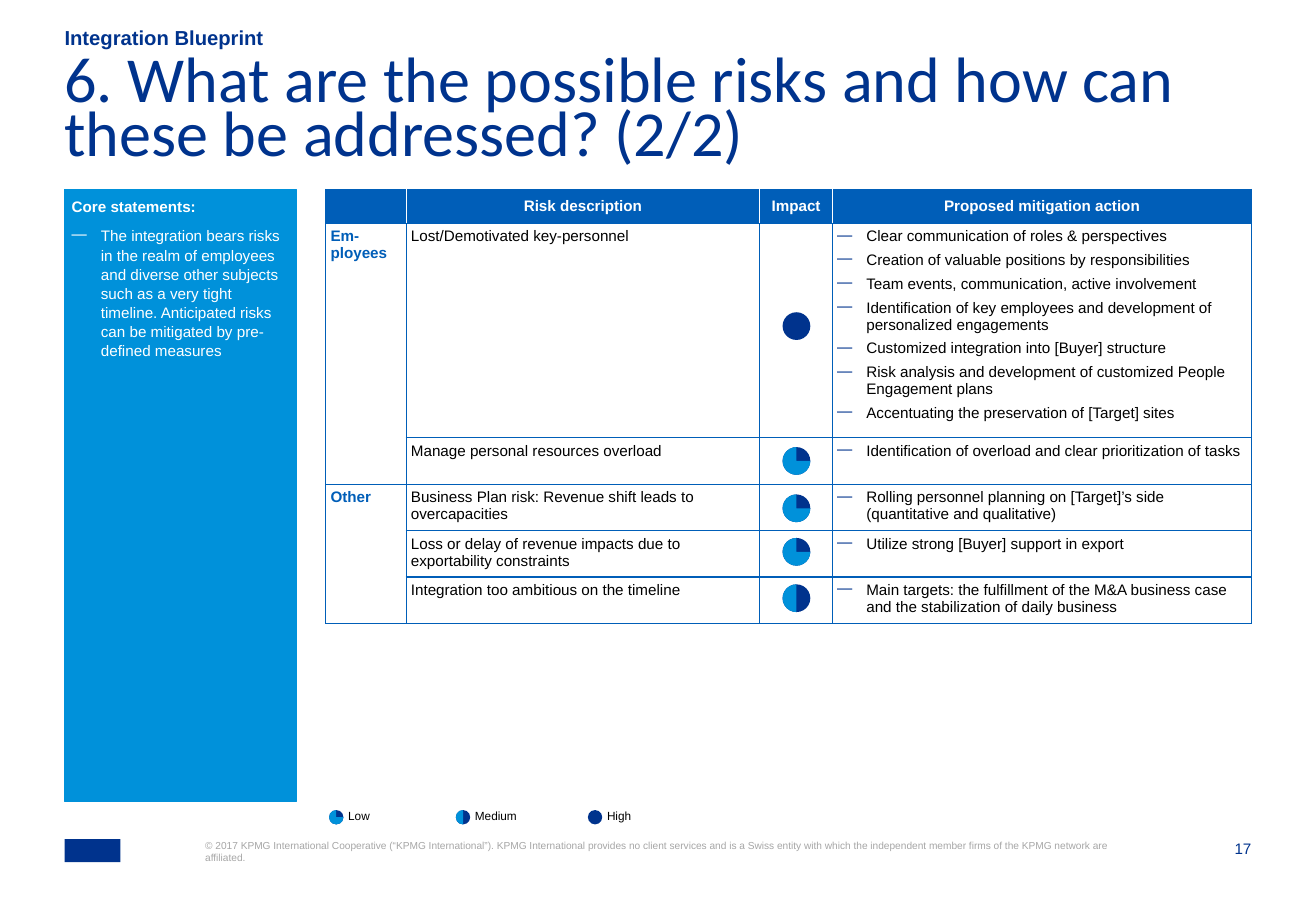
from lxml import etree
from pptx import Presentation
from pptx.dml import color
from pptx.enum import shapes, text
from pptx.oxml import ns
from pptx.util import Cm, Pt

NAVY = color.RGBColor(0x00, 0x33, 0x8D)
BLUE = color.RGBColor(0x00, 0x5E, 0xB8)
SKY = color.RGBColor(0x00, 0x91, 0xDA)
WHITE = color.RGBColor(0xFF, 0xFF, 0xFF)
BLACK = color.RGBColor(0x00, 0x00, 0x00)
GREY = color.RGBColor(0xA6, 0xA6, 0xA6)
LEFT, CENTER, RIGHT = text.PP_ALIGN.LEFT, text.PP_ALIGN.CENTER, text.PP_ALIGN.RIGHT
TOP, MIDDLE, BOTTOM = text.MSO_ANCHOR.TOP, text.MSO_ANCHOR.MIDDLE, text.MSO_ANCHOR.BOTTOM

HEADINGS = ["", "Risk description", "Impact", "Proposed mitigation action"]
RISKS = [
    ("Em-ployees", "Lost/Demotivated key-personnel", [
        "Clear communication of roles & perspectives",
        "Creation of valuable positions by responsibilities",
        "Team events, communication, active involvement",
        "Identification of key employees and development of personalized engagements",
        "Customized integration into [Buyer] structure",
        "Risk analysis and development of customized People Engagement plans",
        "Accentuating the preservation of [Target] sites"]),
    ("", "Manage personal resources overload",
     ["Identification of overload and clear prioritization of tasks"]),
    ("Other", "Business Plan risk: Revenue shift leads to overcapacities",
     ["Rolling personnel planning on [Target]’s side (quantitative and qualitative)"]),
    ("", "Loss or delay of revenue impacts due to exportability constraints",
     ["Utilize strong [Buyer] support in export"]),
    ("", "Integration too ambitious on the timeline",
     ["Main targets: the fulfillment of the M&A business case and the stabilization of daily business"]),
]
IMPACTS = [(6.53, "High"), (9.35, "Low"), (10.34, "Low"), (11.25, "Low"), (12.22, "Medium")]
LEGEND = [(6.88, "Low"), (9.53, "Medium"), (12.29, "High")]
COPYRIGHT = (
    "© 2017 KPMG International Cooperative (“KPMG International”). KPMG International "
    "provides no client services and is a Swiss entity with which the independent member "
    "firms of the KPMG network are affiliated.")
STATEMENT = (
    "The integration bears risks in the realm of employees and diverse other subjects such as a "
    "very tight timeline. Anticipated risks can be mitigated by pre-defined measures")


def add_bullet(para, tone):
    """Give a paragraph a hanging dash in the given colour."""
    props = para._p.get_or_add_pPr()
    props.set("marL", str(Cm(0.61)))
    props.set("indent", str(-Cm(0.61)))
    holder = etree.SubElement(props, ns.qn("a:buClr"))
    etree.SubElement(holder, ns.qn("a:srgbClr"), val=str(tone))
    etree.SubElement(props, ns.qn("a:buChar"), char="—")


def write(para, words, size=9, tone=BLACK, bold=False, align=LEFT, font="Arial",
          spacing=None, before=0, after=0, bullet=None):
    """Fill one paragraph with formatted words."""
    if bullet is not None:
        add_bullet(para, bullet)
    para.alignment = align
    para.space_before, para.space_after = Pt(before), Pt(after)
    if spacing:
        para.line_spacing = spacing
    if not words:
        etree.SubElement(para._p, ns.qn("a:endParaRPr"), sz=str(size * 100))
        return
    span = para.add_run()
    span.text = words
    span.font.name, span.font.size, span.font.bold = font, Pt(size), bold
    span.font.color.rgb = tone


def set_margins(holder, margin):
    """Set all four inner margins of a frame or cell."""
    holder.margin_left = holder.margin_right = Cm(margin)
    holder.margin_top = holder.margin_bottom = Cm(margin)


def add_text(page, words, left, top, width, height, anchor=TOP, wrap=True, **style):
    """Add a text box without margins."""
    box = page.shapes.add_textbox(Cm(left), Cm(top), Cm(width), Cm(height))
    frame = box.text_frame
    set_margins(frame, 0)
    frame.word_wrap, frame.vertical_anchor = wrap, anchor
    write(frame.paragraphs[0], words, **style)


def add_shape(page, kind, left, top, width, height, tone):
    """Add a plain filled shape without outline."""
    shape = page.shapes.add_shape(kind, Cm(left), Cm(top), Cm(width), Cm(height))
    shape.shadow.inherit = False
    shape.fill.solid()
    shape.fill.fore_color.rgb = tone
    shape.line.fill.background()
    return shape


def add_impact(page, left, top, size, level):
    """Add a disc whose dark share shows the impact level."""
    add_shape(page, shapes.MSO_SHAPE.OVAL, left, top, size, size, NAVY)
    if level != "High":
        pie = add_shape(page, shapes.MSO_SHAPE.PIE, left, top, size, size, SKY)
        pie.adjustments[0] = 54 if level == "Medium" else 0
        pie.adjustments[1] = 162


def add_core_panel(page):
    """Add the panel of core statements."""
    panel = add_shape(page, shapes.MSO_SHAPE.RECTANGLE, 1.35, 3.96, 4.85, 12.8, SKY)
    panel.line.color.rgb, panel.line.width = SKY, Pt(0.75)
    frame = panel.text_frame
    set_margins(frame, 0.15)
    frame.word_wrap, frame.vertical_anchor = True, TOP
    style = dict(tone=WHITE, spacing=1.05, after=6)
    write(frame.paragraphs[0], "Core statements:", bold=True, **style)
    write(frame.add_paragraph(), STATEMENT, bullet=WHITE, **style)


def set_borders(cell, **tones):
    """Draw the four cell borders, blue unless a side names a colour."""
    props = cell._tc.get_or_add_tcPr()
    for place, side in enumerate("LRTB"):
        line = etree.Element(ns.qn(f"a:ln{side}"), w=str(Pt(0.75)))
        fill = etree.SubElement(line, ns.qn("a:solidFill"))
        etree.SubElement(fill, ns.qn("a:srgbClr"), val=str(tones.get(side, BLUE)))
        props.insert(place, line)


def fill_cell(cell, lines, fill=WHITE, anchor=TOP, borders=None, **style):
    """Fill a table cell with paragraphs, a background and borders."""
    set_margins(cell, 0.1)
    cell.vertical_anchor = anchor
    cell.fill.solid()
    cell.fill.fore_color.rgb = fill
    set_borders(cell, **(borders or {}))
    frame = cell.text_frame
    for index, line in enumerate(lines):
        para = frame.add_paragraph() if index else frame.paragraphs[0]
        write(para, line, before=4 if index else 0, **style)


def add_risk_table(page):
    """Add the table of risks and mitigation actions."""
    widths, heights = [1.68, 7.39, 1.52, 8.76], [0.71, 4.25] + [0.97] * 4
    table = page.shapes.add_table(len(heights), len(widths), Cm(6.81), Cm(3.96),
                                  Cm(sum(widths)), Cm(sum(heights))).table
    table.first_row = table.horz_banding = False
    for column, width in zip(table.columns, widths):
        column.width = Cm(width)
    for row, height in zip(table.rows, heights):
        row.height = Cm(height)
    for index, heading in enumerate(HEADINGS):
        borders = {}
        if index > 0:
            borders["L"] = WHITE
        if index < len(HEADINGS) - 1:
            borders["R"] = WHITE
        fill_cell(table.cell(0, index), [heading], fill=BLUE, anchor=MIDDLE, borders=borders,
                  tone=WHITE, bold=True, align=CENTER)
    for row, (group, risk, actions) in enumerate(RISKS, 1):
        fill_cell(table.cell(row, 0), [group], tone=BLUE, bold=True)
        fill_cell(table.cell(row, 1), [risk])
        fill_cell(table.cell(row, 2), [""])
        fill_cell(table.cell(row, 3), actions, bullet=NAVY)
    for first, last in [(1, 2), (3, 5)]:
        table.cell(first, 0).merge(table.cell(last, 0))


def main():
    """Build the slide and save it."""
    deck = Presentation()
    deck.slide_width, deck.slide_height = Cm(27.51), Cm(19.05)
    page = deck.slides.add_slide(deck.slide_layouts[6])
    add_text(page, "Integration Blueprint", 1.35, 0.56, 23.88, 0.48, anchor=BOTTOM,
             size=12, tone=NAVY, bold=True)
    add_text(page, "6. What are the possible risks and how can these be addressed? (2/2)",
             1.35, 1.24, 24.77, 2.01, size=38, tone=NAVY, font="Calibri", spacing=0.7)
    add_core_panel(page)
    add_risk_table(page)
    for top, level in IMPACTS:
        add_impact(page, 16.36, top, 0.58, level)
    for left, level in LEGEND:
        add_impact(page, left, 16.94, 0.3, level)
        add_text(page, level, left + 0.4, 16.92, 0.9, 0.3, wrap=False, size=7)
    add_shape(page, shapes.MSO_SHAPE.RECTANGLE, 1.35, 17.55, 1.17, 0.48, NAVY)
    add_text(page, COPYRIGHT, 4.29, 17.55, 19.02, 1.04, size=6, tone=GREY)
    add_text(page, "17", 25.07, 17.55, 1.09, 0.41, tone=NAVY, align=RIGHT)
    deck.save("out.pptx")


if __name__ == "__main__":
    main()
